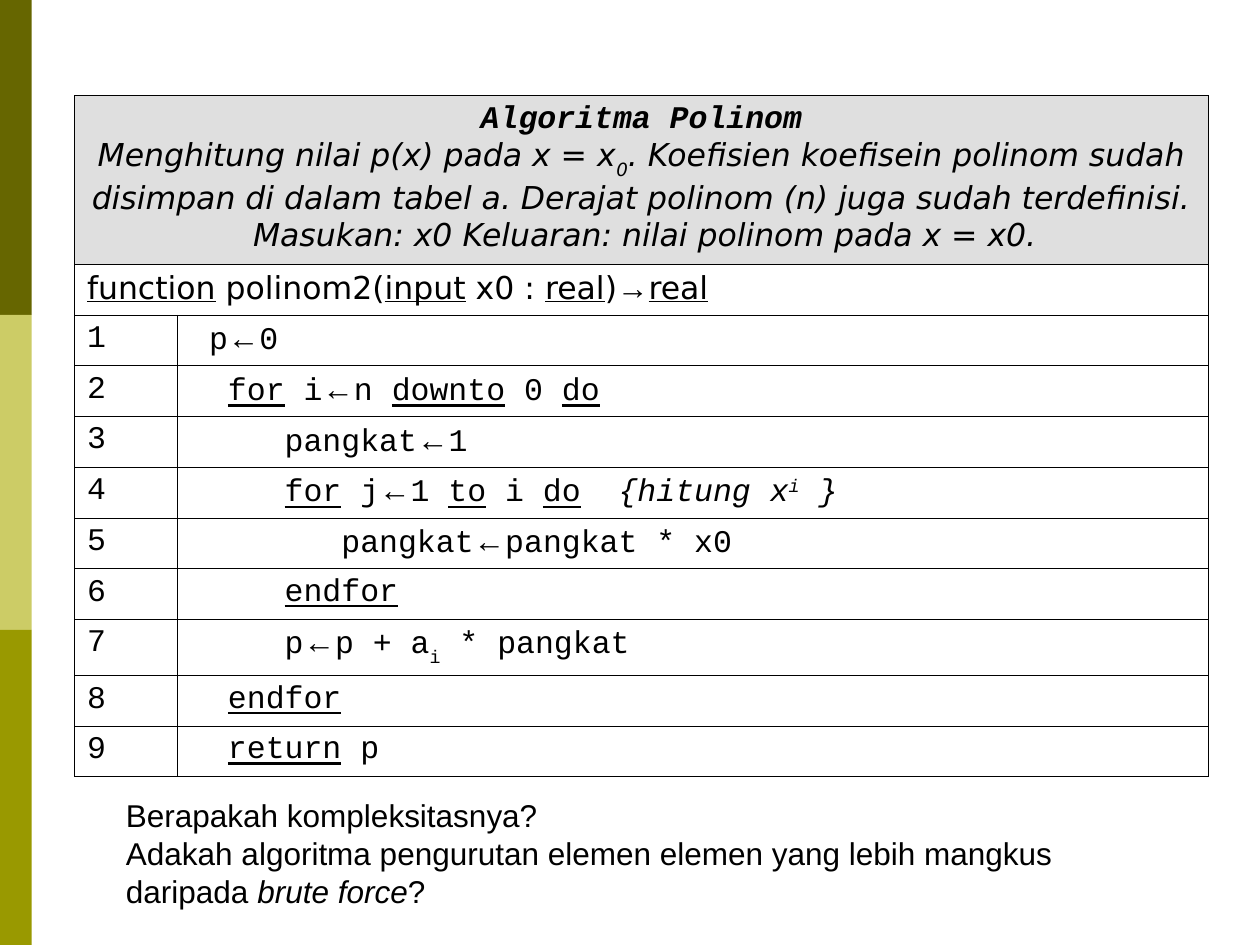
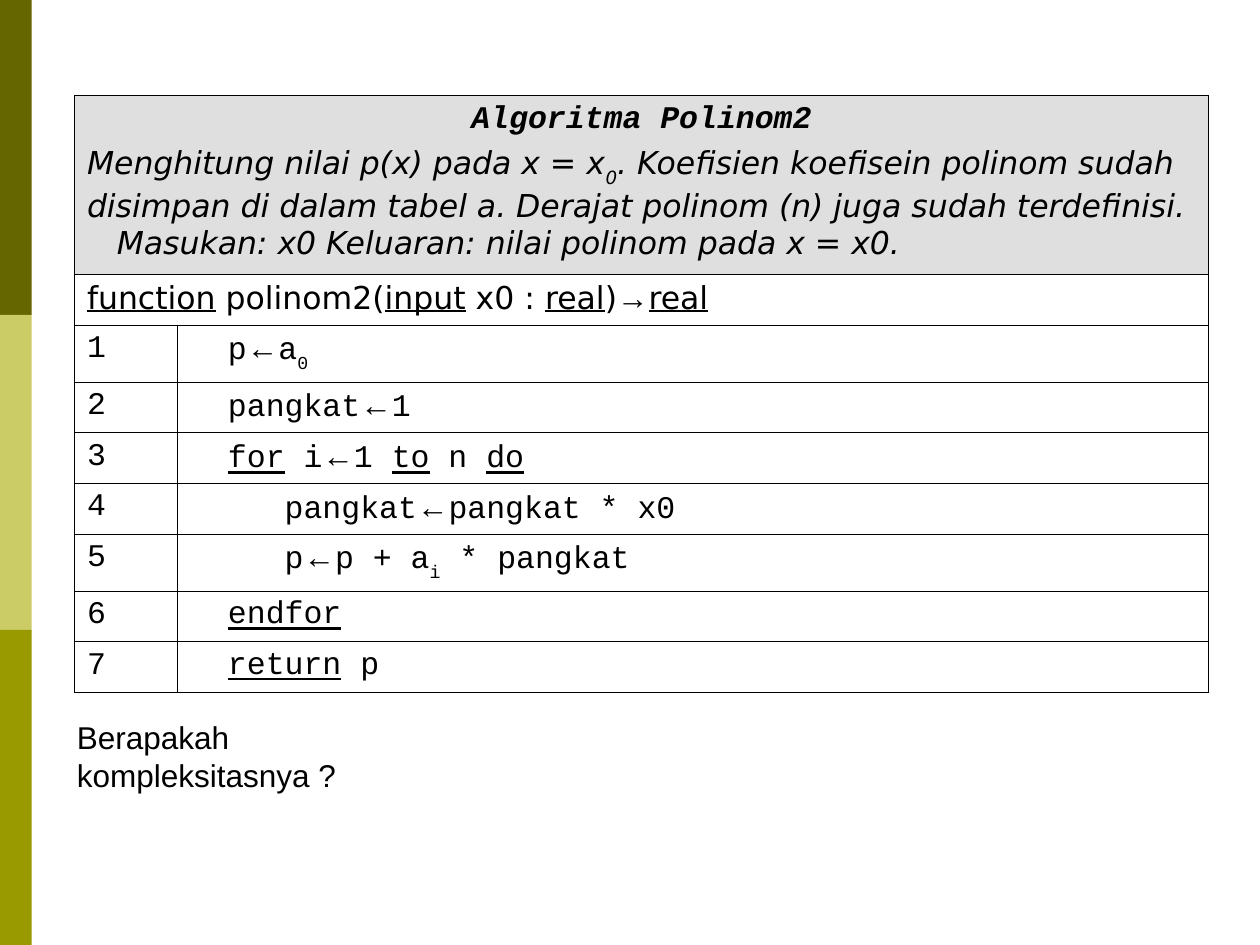
import itertools

import pptx
import pptx.dml.color
import pptx.enum.shapes
import pptx.enum.text
import pptx.oxml
import pptx.oxml.ns
import pptx.util

Cm, Pt = pptx.util.Cm, pptx.util.Pt
ALIGN = pptx.enum.text.PP_ALIGN

COLORS = {
    "text": "000000",
    "header": "DFDFDF",
    "bands": ["666600", "CCCC66", "999900"],
}
BODY, CODE, HEADING = "Arial", "Courier New", "DejaVu Sans"
OUTER, INNER = Pt(0.45), Pt(0.34)

# Marks that switch a style on and off: underline, italic, subscript, superscript
MARKS = "_/~^"
BASELINES = {"~": "-30000", "^": "30000"}
ARROWS = "←→"

SIGNATURE = "_function_ polinom2(_input_ x0 : _real_)→_real_"
DESCRIPTION = ("Menghitung nilai p(x) pada x = x~0~. Koefisien koefisein polinom sudah "
               "disimpan di dalam tabel a. Derajat polinom (n) juga sudah terdefinisi.")
IN_OUT = "Masukan: x0 Keluaran: nilai polinom pada x = x0."

POLINOM = [
    " p←0",
    "  _for_ i←n _downto_ 0 _do_",
    "     pangkat←1",
    "     _for_ j←1 _to_ i _do_  /{hitung x^i^ }/",
    "        pangkat←pangkat * x0",
    "     _endfor_",
    "     p←p + a~i~ * pangkat",
    "  _endfor_",
    "  _return_ p",
]
POLINOM2 = [
    "  p←a~0~",
    "  pangkat←1",
    "  _for_ i←1 _to_ n _do_",
    "     pangkat←pangkat * x0",
    "     p←p + a~i~ * pangkat",
    "  _endfor_",
    "  _return_ p",
]


def rgb(value):
    return pptx.dml.color.RGBColor.from_string(value)


def styled_chars(text):
    """Pair each character with the marks that are on and whether it is an arrow."""
    active = frozenset()
    for char in text:
        if char in MARKS:
            active ^= {char}
        else:
            yield char, (active, char in ARROWS)


def write(p, text, font, align=ALIGN.JUSTIFY, bold=False, italic=False):
    p.alignment = align
    p.font.name, p.font.size = font, Pt(18)
    p.font.bold, p.font.italic = bold, italic
    p.font.color.rgb = rgb(COLORS["text"])
    for (active, arrow), pairs in itertools.groupby(styled_chars(text), lambda pair: pair[1]):
        r = p.add_run()
        r.text = "".join(char for char, _ in pairs)
        if arrow:
            r.font.name = BODY
        if "_" in active:
            r.font.underline = True
        if "/" in active:
            r.font.italic = True
        for mark in active & BASELINES.keys():
            r._r.get_or_add_rPr().set("baseline", BASELINES[mark])


def add_bands(slide):
    height = Cm(6.35)
    for i, color in enumerate(COLORS["bands"]):
        sp = slide.shapes.add_shape(pptx.enum.shapes.MSO_SHAPE.RECTANGLE,
                                    0, i * height, Cm(0.64), height)
        sp.shadow.inherit = False
        sp.fill.solid()
        sp.fill.fore_color.rgb = rgb(color)
        sp.line.fill.background()


def set_borders(cell, widths):
    tc_pr = cell._tc.get_or_add_tcPr()
    for side, width in zip("LRTB", widths):
        tc_pr.append(pptx.oxml.parse_xml(
            f'<a:ln{side} {pptx.oxml.ns.nsdecls("a")} w="{width}"><a:solidFill>'
            f'<a:srgbClr val="{COLORS["text"]}"/></a:solidFill></a:ln{side}>'))


def write_header(cell, title, align, gap, indent):
    tf = cell.text_frame
    write(tf.paragraphs[0], title, CODE, ALIGN.CENTER, bold=True, italic=True)
    description, in_out = tf.add_paragraph(), tf.add_paragraph()
    description.space_before = gap
    in_out._p.get_or_add_pPr().set("marL", str(indent))
    for p, text in ((description, DESCRIPTION), (in_out, IN_OUT)):
        write(p, text, HEADING, align, italic=True)


def add_algorithm(slide, title, code, header_height, align, gap, indent):
    # Rows that hold a subscript are a little taller
    heights = [header_height, Cm(1.02)]
    heights += [Cm(1.14) if "~" in line else Cm(1.02) for line in code]
    last = len(heights) - 1
    table = slide.shapes.add_table(len(heights), 2, Cm(1.5), Cm(1.93),
                                   Cm(22.86), sum(heights)).table
    table.first_row = table.horz_banding = False
    table.columns[0].width, table.columns[1].width = Cm(2.08), Cm(20.78)

    # Grid
    for i, height in enumerate(heights):
        table.rows[i].height = height
        merged = i < 2
        if merged:
            table.cell(i, 0).merge(table.cell(i, 1))
        for j in range(2):
            cell = table.cell(i, j)
            set_borders(cell, (OUTER if merged or j == 0 else INNER,
                               OUTER if merged or j == 1 else INNER,
                               OUTER if merged else INNER,
                               OUTER if i in (0, last) else INNER))
            if i == 0:
                cell.fill.solid()
                cell.fill.fore_color.rgb = rgb(COLORS["header"])
            else:
                cell.fill.background()

    # Header, signature and numbered lines
    write_header(table.cell(0, 0), title, align, gap, indent)
    write(table.cell(1, 0).text_frame.paragraphs[0], SIGNATURE, HEADING, ALIGN.LEFT)
    for number, line in enumerate(code, 1):
        for j, text in enumerate((str(number), line)):
            write(table.cell(number + 1, j).text_frame.paragraphs[0], text, CODE)


def add_question(slide, left, top, width, height, lines):
    tf = slide.shapes.add_textbox(left, top, width, height).text_frame
    tf.word_wrap = False
    tf.auto_size = pptx.enum.text.MSO_AUTO_SIZE.SHAPE_TO_FIT_TEXT
    tf.vertical_anchor = pptx.enum.text.MSO_ANCHOR.MIDDLE
    for i, line in enumerate(lines):
        write(tf.add_paragraph() if i else tf.paragraphs[0], line, BODY)


def new_slide(prs):
    slide = prs.slides.add_slide(prs.slide_layouts[6])
    add_bands(slide)
    return slide


def main():
    prs = pptx.Presentation()
    prs.slide_width, prs.slide_height = Cm(25.4), Cm(19.05)

    # Direct evaluation
    slide = new_slide(prs)
    add_algorithm(slide, "Algoritma Polinom", POLINOM, Cm(3.4),
                  ALIGN.CENTER, gap=Pt(0), indent=Cm(0.15))
    add_question(slide, Cm(2.29), Cm(15.93), Cm(19.35), Cm(2.54), [
        "Berapakah kompleksitasnya?",
        "Adakah algoritma pengurutan elemen elemen yang lebih mangkus",
        "daripada /brute force/?",
    ])

    # Improved evaluation
    slide = new_slide(prs)
    add_algorithm(slide, "Algoritma Polinom2", POLINOM2, Cm(3.56),
                  ALIGN.LEFT, gap=Pt(4.5), indent=Cm(0.6))
    add_question(slide, Cm(1.3), Cm(14.73), Cm(8.97), Cm(1.02),
                 ["Berapakah kompleksitasnya ?"])

    prs.save("out.pptx")


if __name__ == "__main__":
    main()
